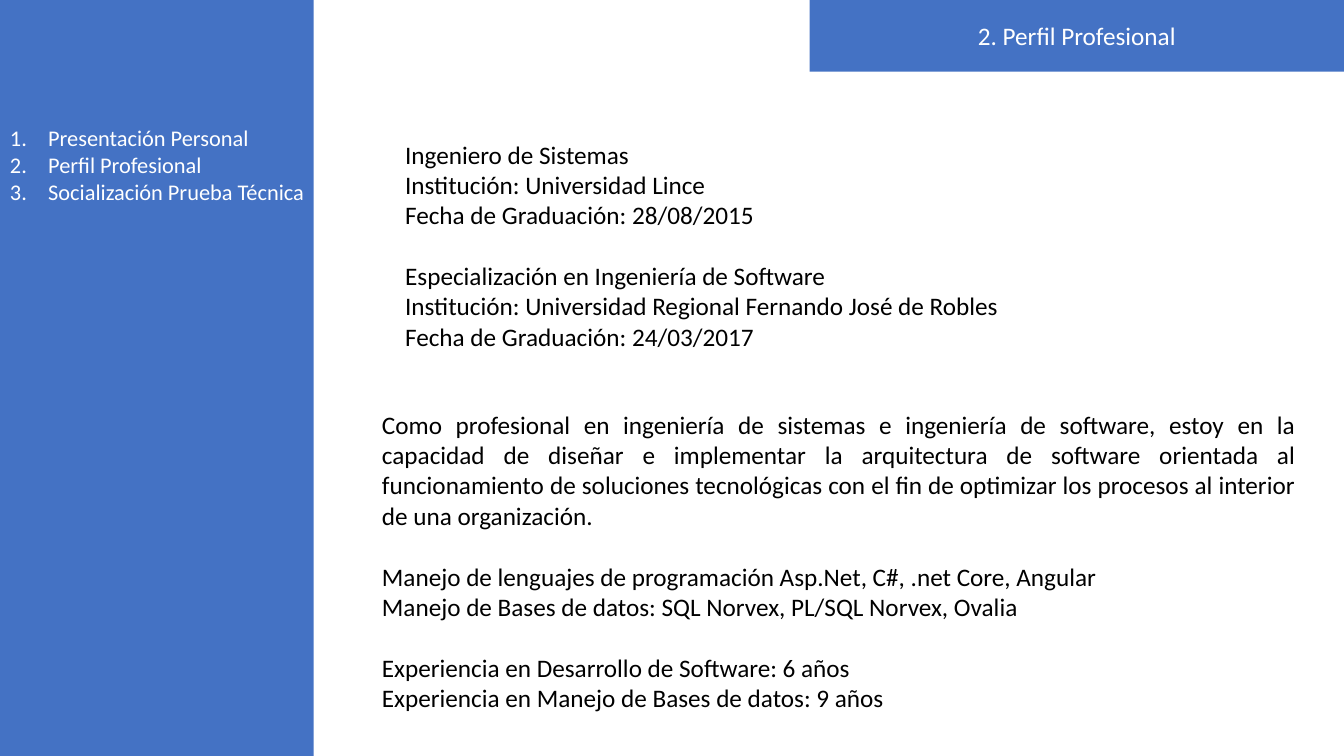
from lxml.etree import SubElement
from pptx import Presentation
from pptx.dml.color import RGBColor
from pptx.enum.shapes import MSO_SHAPE
from pptx.enum.text import MSO_ANCHOR, MSO_AUTO_SIZE, PP_ALIGN
from pptx.oxml.ns import qn
from pptx.util import Inches, Pt

BLUE = RGBColor(0x44, 0x72, 0xC4)
WHITE = RGBColor(0xFF, 0xFF, 0xFF)
BLACK = RGBColor(0, 0, 0)
FONT = "Calibri"
BLANK_LINE = 22

TITLE = "2. Perfil Profesional"
AGENDA = [["Presentación Personal", "Perfil Profesional", "Socialización Prueba Técnica"]]
STUDIES = [
    ["Ingeniero de Sistemas\nInstitución: Universidad Lince",
     "Fecha de Graduación: 28/08/2015"],
    ["Especialización en Ingeniería de Software\n"
     "Institución: Universidad Regional Fernando José de Robles",
     "Fecha de Graduación: 24/03/2017"],
]
SUMMARY = [
    ["Como profesional en ingeniería de sistemas e ingeniería de software, estoy en la "
     "capacidad de diseñar e implementar la arquitectura de software orientada al "
     "funcionamiento de soluciones tecnológicas con el fin de optimizar los procesos al "
     "interior de una organización."],
    ["Manejo de lenguajes de programación Asp.Net, C#, .net Core, Angular",
     "Manejo de Bases de datos: SQL Norvex, PL/SQL Norvex, Ovalia"],
    ["Experiencia en Desarrollo de Software: 6 años",
     "Experiencia en Manejo de Bases de datos: 9 años"],
]


def write(tf, groups, size=18, color=BLACK, align=PP_ALIGN.LEFT, numbered=False):
    """Fill a text frame with groups of paragraphs, one line apart."""
    tf.word_wrap = True
    p = None
    for g, group in enumerate(groups):
        for i, text in enumerate(group):
            p = tf.add_paragraph() if p is not None else tf.paragraphs[0]
            p.text = text
            p.alignment = align
            p.line_spacing = 1.0
            p.space_before = Pt(BLANK_LINE if g and not i else 0)
            for r in p.runs:
                r.font.name, r.font.size = FONT, Pt(size)
                r.font.color.rgb = color
            if numbered:
                pPr = p._p.get_or_add_pPr()
                pPr.set("marL", str(Inches(0.38)))
                pPr.set("indent", str(-Inches(0.38)))
                SubElement(pPr, qn("a:buFont"), typeface="+mj-lt")
                SubElement(pPr, qn("a:buAutoNum"), type="arabicPeriod")


def add_text(slide, box, groups, **fmt):
    """Add a text box at the given left, top, width and height."""
    tf = slide.shapes.add_textbox(*map(Inches, box)).text_frame
    write(tf, groups, **fmt)
    return tf


def main():
    """Build the professional profile slide."""
    prs = Presentation()
    prs.slide_width, prs.slide_height = Inches(13.33), Inches(7.5)
    slide = prs.slides.add_slide(prs.slide_layouts[5])

    sidebar = slide.shapes.add_shape(MSO_SHAPE.RECTANGLE, 0, 0, Inches(3.11), prs.slide_height)
    sidebar.shadow.inherit = False
    sidebar.fill.solid()
    sidebar.fill.fore_color.rgb = BLUE
    sidebar.line.fill.background()
    add_text(slide, (0, 1.18, 3.42, 0.91), AGENDA, size=16, color=WHITE, numbered=True)

    title = slide.shapes.title
    title.left, title.top = Inches(8.03), 0
    title.width, title.height = Inches(5.3), Inches(0.71)
    title.fill.solid()
    title.fill.fore_color.rgb = BLUE
    title.text_frame.auto_size = MSO_AUTO_SIZE.NONE
    title.text_frame.vertical_anchor = MSO_ANCHOR.MIDDLE
    write(title.text_frame, [[TITLE]], color=WHITE, align=PP_ALIGN.CENTER)

    add_text(slide, (3.92, 1.33, 8.23, 2.22), STUDIES)
    summary = add_text(slide, (3.69, 4.01, 9.26, 3.13), SUMMARY)
    summary.paragraphs[0].alignment = PP_ALIGN.JUSTIFY
    prs.save("out.pptx")


if __name__ == "__main__":
    main()
